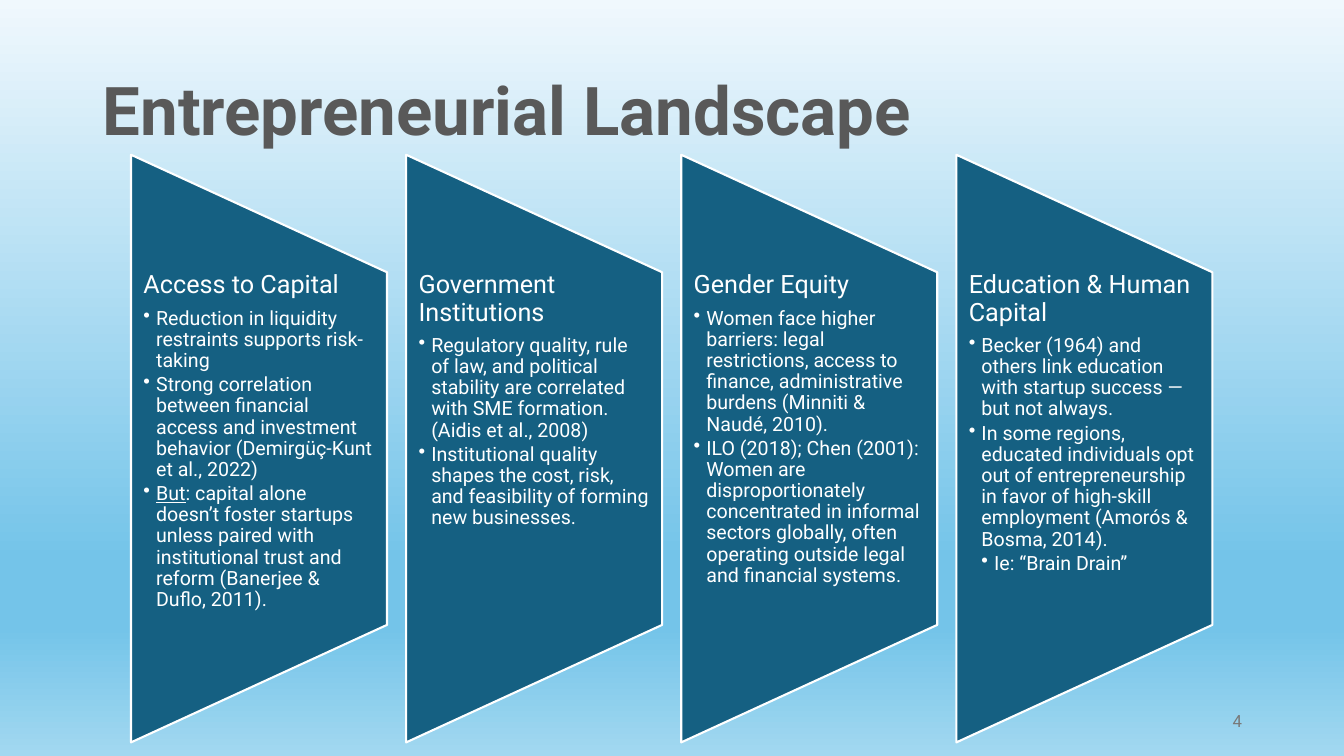
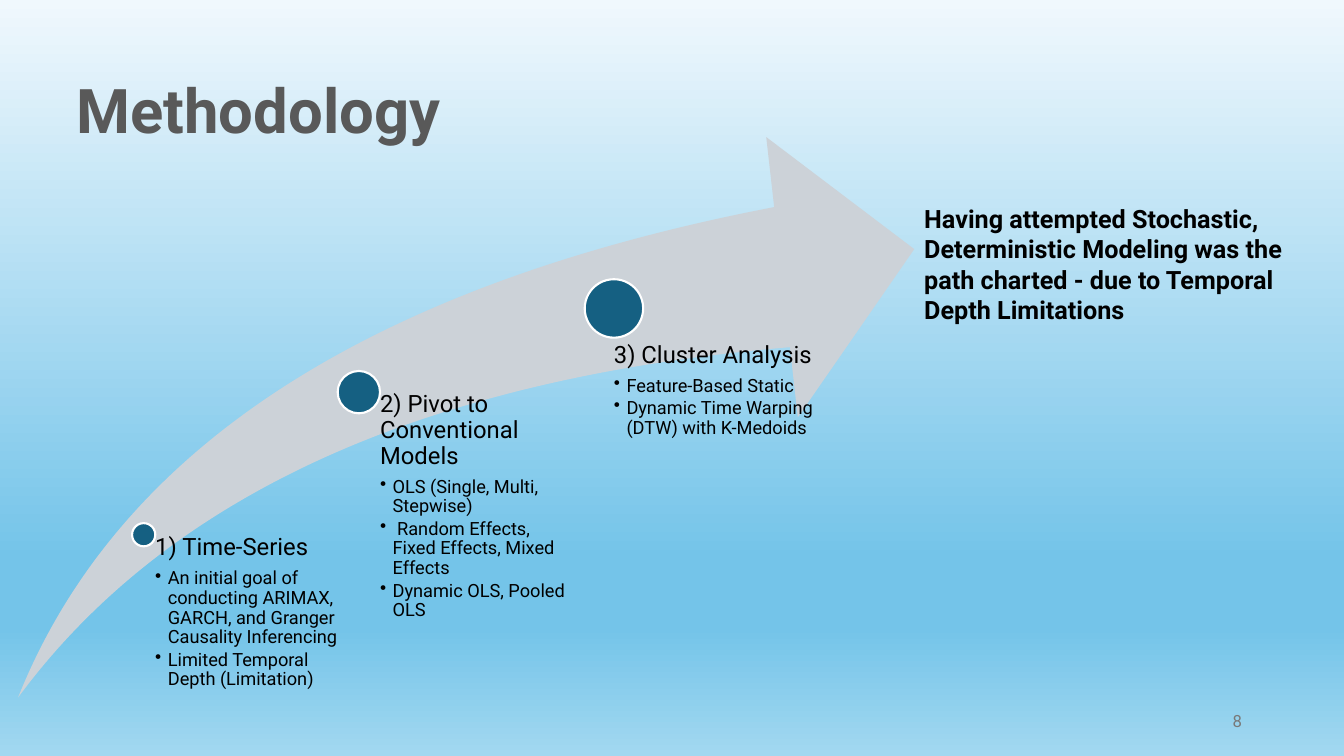
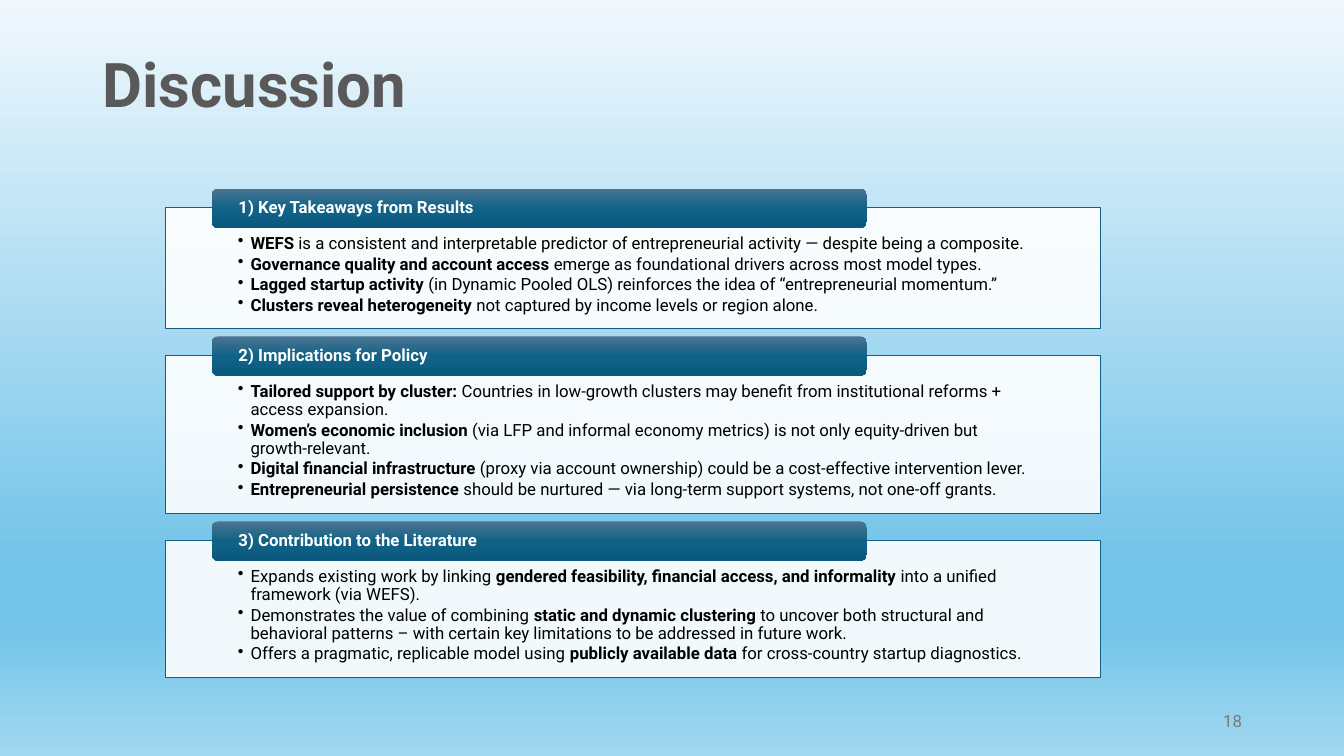
from lxml import etree
from pptx import Presentation
from pptx.dml.color import RGBColor
from pptx.enum.shapes import MSO_SHAPE
from pptx.enum.text import MSO_ANCHOR, PP_ALIGN
from pptx.oxml.ns import qn
from pptx.util import Inches, Pt

TRAPEZE = MSO_SHAPE.FLOWCHART_MANUAL_OPERATION
SWOOSH = MSO_SHAPE.SWOOSH_ARROW
OVAL = MSO_SHAPE.OVAL
RECT = MSO_SHAPE.RECTANGLE
ROUND = MSO_SHAPE.ROUNDED_RECTANGLE
TOP, MIDDLE = MSO_ANCHOR.TOP, MSO_ANCHOR.MIDDLE
LEFT, RIGHT = PP_ALIGN.LEFT, PP_ALIGN.RIGHT

FONT = "Roboto"
BLUE, WHITE, BLACK = "156082", "FFFFFF", "000000"
GREY, DIM, PALE = "595959", "797979", "CCD2D8"
SKY = [(0, "F0F8FD"), (74, "74C4E9"), (83, "74C4E9"), (100, "A2D8F0")]
GLOSS = [(0, "4C7591"), (50, "106287"), (100, "09597D")]
STEP = Pt(9)


def hue(code):
    return RGBColor.from_string(code)


def put(item, fmt):
    for key, value in fmt.items():
        setattr(item, key, value)


def ramp(fill, node, stops):
    fill.gradient()
    fill.gradient_angle = 270
    bar = node.find(".//" + qn("a:gsLst"))
    for old in list(bar):
        bar.remove(old)
    for at, code in stops:
        stop = etree.SubElement(bar, qn("a:gs"), pos=str(at * 1000))
        etree.SubElement(stop, qn("a:srgbClr"), val=code)


class Deck:
    """Holds the style and the current slide; lengths are percent of the slide."""

    def __init__(self):
        self.prs = Presentation()
        put(self.prs, {"slide_width": Inches(40 / 3), "slide_height": Inches(7.5)})
        master = self.prs.slide_master
        ramp(master.background.fill, master.element, SKY)

    def wide(self, share):
        return round(self.prs.slide_width * share / 100)

    def high(self, share):
        return round(self.prs.slide_height * share / 100)

    def area(self, x, y, w, h):
        return self.wide(x), self.high(y), self.wide(w), self.high(h)

    def page(self, title, number, x=6.9, y=5.33, w=86.25, size=44):
        self.slide = self.prs.slides.add_slide(self.prs.slide_layouts[6])
        self.label((x, y, w, 19.33), title, size, GREY, True, anchor=MIDDLE, space=0.9)
        self.label((70.65, 92.67, 22.5, 5.33), number, 12, DIM, anchor=MIDDLE, align=RIGHT)

    def frame(self, shape, pad=None, anchor=TOP):
        frame = shape.text_frame
        put(frame, {"word_wrap": True, "vertical_anchor": anchor})
        if pad:
            left, top, right, foot = pad
            put(frame, {"margin_left": self.wide(left), "margin_top": self.high(top),
                        "margin_right": self.wide(right), "margin_bottom": self.high(foot)})
        return frame

    def text(self, area, pad=None, anchor=TOP):
        return self.frame(self.slide.shapes.add_textbox(*self.area(*area)), pad, anchor)

    def line(self, para, text, size, color, bold=False, mark="bold",
             align=LEFT, space=1.0, after=0, level=0):
        if level:
            props = para._p.get_or_add_pPr()
            put(para, {"level": level})
            props.set("marL", str(STEP * level))
            props.set("indent", str(-STEP))
            etree.SubElement(props, qn("a:buChar"), char="•")
        put(para, {"alignment": align, "line_spacing": space, "space_after": Pt(after)})
        for turn, part in enumerate(text.split("*")):
            if part:
                run = para.add_run()
                run.text = part
                put(run.font, {"name": FONT, "size": Pt(size), "bold": bold})
                run.font.color.rgb = hue(color)
                if turn % 2:
                    put(run.font, {mark: True})

    def label(self, area, text, size, color, bold=False, anchor=TOP, align=LEFT, space=1.0):
        frame = self.text(area, anchor=anchor)
        self.line(frame.paragraphs[0], text, size, color, bold, align=align, space=space)

    def points(self, frame, size, color, items, head=None, subs=(), mark="bold"):
        rows = [(0, head)] if head else []
        rows += [(1, item) for item in items] + [(2, sub) for sub in subs]
        for turn, (level, text) in enumerate(rows):
            para = frame.add_paragraph() if turn else frame.paragraphs[0]
            big = size if level else size + 4
            after = big * (0.15 if level else 0.35)
            self.line(para, text, big, color, mark=mark, space=0.9,
                      after=round(after, 1), level=level)

    def shape(self, kind, area, fill=None, edge=None, width=1.5):
        shape = self.slide.shapes.add_shape(kind, *self.area(*area))
        shape.shadow.inherit = False
        if fill:
            shape.fill.solid()
            shape.fill.fore_color.rgb = hue(fill)
        if edge:
            shape.line.color.rgb = hue(edge)
            shape.line.width = Pt(width)
        else:
            shape.line.fill.background()
        return shape

    def pillar(self, x, head, items, subs=()):
        left, top, wide, high = self.area(x, 20.47, 19.05, 77.73)
        shape = self.shape(TRAPEZE, (0, 0, 1, 1), BLUE, WHITE)
        put(shape, {"left": left + (wide - high) // 2, "top": top + (high - wide) // 2,
                    "width": high, "height": wide, "rotation": 270})
        frame = self.text((x, 36, 19.05, 46.67), (0.93, 0, 0.95, 0))
        self.points(frame, 14, WHITE, items, head, subs, "underline")

    def dot(self, x, y, size):
        wide = size * self.prs.slide_height / self.prs.slide_width
        self.shape(OVAL, (x - wide / 2, y - size / 2, wide, size), BLUE, WHITE)

    def panel(self, y, h, head, items):
        box = self.shape(RECT, (12.3, y, 69.6, h), WHITE, BLUE, 1)
        tint = box.element.find(".//" + qn("a:solidFill") + "/" + qn("a:srgbClr"))
        etree.SubElement(tint, qn("a:alpha"), val="90000")
        self.points(self.frame(box, (5.4, 3.6, 5.4, 1.2)), 12, BLACK, items)
        tab = self.shape(ROUND, (15.75, y - 2.53, 48.75, 5.2))
        ramp(tab.fill, tab.element, GLOSS)
        frame = self.frame(tab, (1.85, 0, 1.85, 0), MIDDLE)
        self.line(frame.paragraphs[0], head, 12, WHITE, True, space=0.9)


PILLARS = [
    ("Access to Capital", [
        "Reduction in liquidity restraints supports risk-taking",
        "Strong correlation between financial access and investment behavior "
        "(Demirgüç-Kunt et al., 2022)",
        "*But*: capital alone doesn’t foster startups unless paired with "
        "institutional trust and reform (Banerjee & Duflo, 2011)."]),
    ("Government Institutions", [
        "Regulatory quality, rule of law, and political stability are correlated "
        "with SME formation. (Aidis et al., 2008)",
        "Institutional quality shapes the cost, risk, and feasibility of forming "
        "new businesses."]),
    ("Gender Equity", [
        "Women face higher barriers: legal restrictions, access to finance, "
        "administrative burdens (Minniti & Naudé, 2010).",
        "ILO (2018); Chen (2001): Women are disproportionately concentrated in "
        "informal sectors globally, often operating outside legal and financial systems."]),
    ("Education & Human Capital", [
        "Becker (1964) and others link education with startup success — but not always.",
        "In some regions, educated individuals opt out of entrepreneurship in favor "
        "of high-skill employment (Amorós & Bosma, 2014)."],
     ["Ie: “Brain Drain”"]),
]

STAGES = [
    ((10.69, 70.73, 3.07), (10.65, 70.8, 15.53, 21.47), 0.9, "1) Time-Series", [
        "An initial goal of conducting ARIMAX, GARCH, and Granger Causality Inferencing",
        "Limited Temporal Depth (Limitation)"]),
    ((26.7, 51.87, 5.6), (26.63, 51.87, 15.98, 40.27), 1.65,
     "2) Pivot to Conventional Models", [
        "OLS (Single, Multi, Stepwise)",
        " Random Effects, Fixed Effects, Mixed Effects",
        "Dynamic OLS, Pooled OLS"]),
    ((45.68, 40.8, 7.73), (43.35, 45.33, 20.55, 42.27), 2.33, "3) Cluster Analysis", [
        "Feature-Based Static",
        "Dynamic Time Warping (DTW) with K-Medoids"]),
]

PANELS = [
    (16, "1) Key Takeaways from Results", [
        "*WEFS* is a consistent and interpretable predictor of entrepreneurial "
        "activity — despite being a composite.",
        "*Governance quality and account access* emerge as foundational drivers "
        "across most model types.",
        "*Lagged startup activity* (in Dynamic Pooled OLS) reinforces the idea of "
        "“entrepreneurial momentum.”",
        "*Clusters reveal heterogeneity* not captured by income levels or region alone."]),
    (20.93, "2) Implications for Policy", [
        "*Tailored support by cluster:* Countries in low-growth clusters may benefit "
        "from institutional reforms + access expansion.",
        "*Women’s economic inclusion* (via LFP and informal economy metrics) is not "
        "only equity-driven but growth-relevant.",
        "*Digital financial infrastructure* (proxy via account ownership) could be a "
        "cost-effective intervention lever.",
        "*Entrepreneurial persistence* should be nurtured — via long-term support "
        "systems, not one-off grants."]),
    (18.13, "3) Contribution to the Literature", [
        "Expands existing work by linking *gendered feasibility, financial access, and "
        "informality* into a unified framework (via WEFS).",
        "Demonstrates the value of combining *static and dynamic clustering* to uncover "
        "both structural and behavioral patterns – with certain key limitations to be "
        "addressed in future work.",
        "Offers a pragmatic, replicable model using *publicly available data* for "
        "cross-country startup diagnostics."]),
]


def main():
    deck = Deck()

    deck.page("Entrepreneurial Landscape", "4", size=48)
    for turn, pillar in enumerate(PILLARS):
        deck.pillar(9.75 + 20.47 * turn, *pillar)

    deck.page("Methodology", "8", x=4.95, w=90.45)
    arrow = deck.shape(SWOOSH, (1.35, 18.13, 66.68, 74.13), PALE)
    arrow.adjustments[0] = arrow.adjustments[1] = 0.25
    for spot, area, pad, head, items in STAGES:
        deck.dot(*spot)
        deck.points(deck.text(area, (pad, 0, 0, 0)), 13, BLACK, items, head)
    deck.label((68.03, 26.27, 30.68, 17.47),
               "Having attempted Stochastic, Deterministic Modeling was the path "
               "charted - due to Temporal Depth Limitations", 18, BLACK, True)

    deck.page("Discussion", "18", y=1.87)
    y = 27.47
    for high, head, items in PANELS:
        deck.panel(y, high, head, items)
        y += high + 3.55

    deck.prs.save("out.pptx")


if __name__ == "__main__":
    main()
